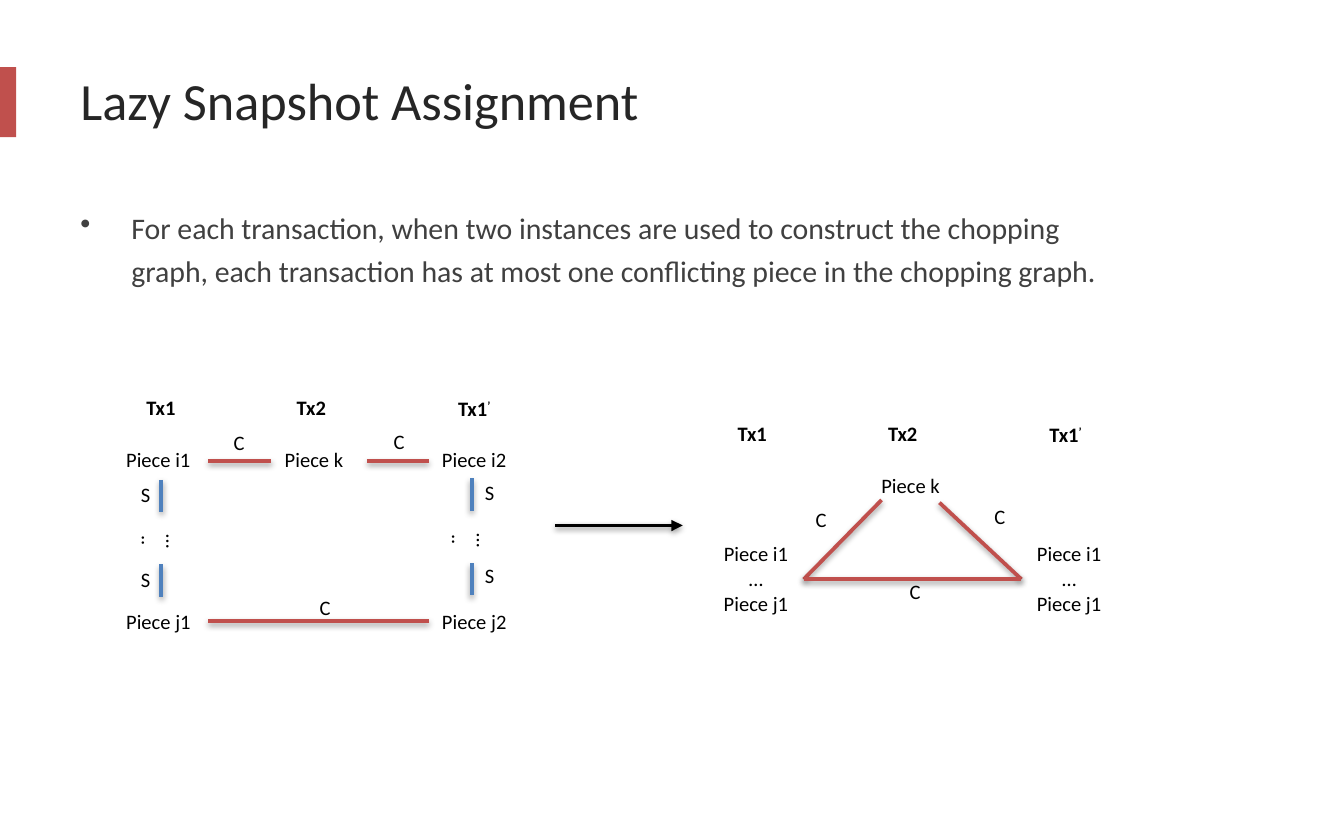
from lxml import etree
from pptx import Presentation, util as u
from pptx.dml import color
from pptx.enum import shapes, text
from pptx.oxml import ns, parse_xml

RED, BLUE, BLACK = "C0504D", "4F81BD", "000000"
LABEL_HEIGHT, PIECE_WIDTH, HEADING_WIDTH = 0.29, 0.71, 0.47
CONFLICT_WIDTH, SIBLING_WIDTH = 0.41, 0.39


def rgb(value):
    """Turn a hex string into a colour."""
    return color.RGBColor.from_string(value)


def add_text(page, lines, left, top, width, height=LABEL_HEIGHT, size=11,
             colour=BLACK, bold=False, centred=False, middle=False, grow=True,
             vertical=False, bullet=False, spacing=None, superscript=""):
    """Add a text box with one paragraph per line and return it."""
    box = page.shapes.add_textbox(*map(u.Inches, (left, top, width, height)))
    frame = box.text_frame
    frame.word_wrap = True
    if grow:
        frame.auto_size = text.MSO_AUTO_SIZE.SHAPE_TO_FIT_TEXT
    if middle:
        frame.vertical_anchor = text.MSO_ANCHOR.MIDDLE
    if vertical:
        box.element.txBody.bodyPr.set("vert", "eaVert")
    for index, line in enumerate(lines.split("\n")):
        para = frame.add_paragraph() if index else frame.paragraphs[0]
        if bullet:
            add_bullet(para, 0.38)
        if spacing:
            para.line_spacing = spacing
        para.alignment = text.PP_ALIGN.CENTER if centred else text.PP_ALIGN.LEFT
        for words, baseline in ((line, None), (superscript, "30000")):
            if not words:
                continue
            span = para.add_run()
            span.text = words
            span.font.name = "Calibri"
            span.font.size = u.Pt(size)
            span.font.bold = bold
            span.font.color.rgb = rgb(colour)
            if baseline:
                span.font._element.set("baseline", baseline)
    return box


def add_bullet(para, indent):
    """Give a paragraph a round bullet with a hanging indent."""
    properties = para._p.get_or_add_pPr()
    properties.set("marL", str(u.Inches(indent)))
    properties.set("indent", str(-u.Inches(indent)))
    etree.SubElement(properties, ns.qn("a:buChar")).set("char", "•")


def add_line(page, start, end, colour, arrow=False):
    """Draw a straight line with a soft shadow below it."""
    line = page.shapes.add_connector(
        shapes.MSO_CONNECTOR.STRAIGHT, *map(u.Inches, (*start, *end)))
    line.line.color.rgb = rgb(colour)
    line.line.width = u.Pt(2)
    properties = line.element.spPr
    if arrow:
        outline = properties.find(ns.qn("a:ln"))
        etree.SubElement(outline, ns.qn("a:tailEnd")).set("type", "triangle")
    properties.append(parse_xml(
        f'<a:effectLst {ns.nsdecls("a")}>'
        '<a:outerShdw blurRad="40000" dist="20000" dir="5400000" rotWithShape="0">'
        '<a:srgbClr val="000000"><a:alpha val="38000"/></a:srgbClr>'
        '</a:outerShdw></a:effectLst>'))


def add_accent(page):
    """Add the red bar at the left edge."""
    bar = page.shapes.add_shape(
        shapes.MSO_SHAPE.RECTANGLE, *map(u.Inches, (0, 0.5, 0.12, 0.52)))
    bar.shadow.inherit = False
    bar.fill.solid()
    bar.fill.fore_color.rgb = rgb(RED)
    bar.line.fill.background()


def add_headings(page, left, top):
    """Add the three transaction headings of a graph."""
    for name, offset, drop, prime in (("Tx1", 0, 0, ""), ("Tx2", 1.12, 0, ""),
                                      ("Tx1", 2.32, 0.01, "’")):
        add_text(page, name, left + offset, top + drop, HEADING_WIDTH,
                 bold=True, superscript=prime)


def add_conflict_labels(page, places):
    """Mark conflict edges with the letter C."""
    for left, top in places:
        add_text(page, "C", left, top, CONFLICT_WIDTH)


def add_sibling_chain(page, x, top, label_left, label_tops):
    """Add the two sibling edges of a transaction and the dots between them."""
    for offset in (0, 0.63):
        add_line(page, (x, top + offset), (x, top + offset + 0.24), BLUE)
    add_text(page, "…..", x - 0.15, top + 0.31, SIBLING_WIDTH,
             centred=True, vertical=True)
    for label_top in label_tops:
        add_text(page, "S", label_left, label_top, SIBLING_WIDTH)


def add_full_graph(page):
    """Add the chopping graph with all pieces."""
    add_headings(page, 0.99, 2.89)
    for name, left, top in (("Piece i1", 0.84, 3.28), ("Piece k", 2.02, 3.28),
                            ("Piece i2", 3.19, 3.28), ("Piece j1", 0.84, 4.48),
                            ("Piece j2", 3.19, 4.48)):
        add_text(page, name, left, top, PIECE_WIDTH)
    add_sibling_chain(page, 1.2, 3.57, 0.95, (3.54, 4.17))
    add_sibling_chain(page, 3.51, 3.56, 3.51, (3.52, 4.14))
    for left, right, y in ((1.55, 2.02, 3.43), (2.73, 3.19, 3.43),
                           (1.55, 3.19, 4.62)):
        add_line(page, (left, y), (right, y), RED)
    add_conflict_labels(page, ((1.64, 3.15), (2.83, 3.14), (2.28, 4.38)))


def add_merged_graph(page):
    """Add the graph with the pieces of each instance merged."""
    add_headings(page, 5.39, 3.08)
    for left in (5.27, 7.6):
        add_text(page, "Piece i1\n…\nPiece j1", left, 3.98, PIECE_WIDTH, 0.66,
                 centred=True)
    add_text(page, "Piece k", 6.42, 3.47, PIECE_WIDTH, centred=True)
    first, second = (5.98, 4.31), (7.6, 4.31)
    for start, end in ((first, (6.56, 3.72)), ((6.99, 3.74), second),
                       (first, second)):
        add_line(page, start, end, RED)
    add_conflict_labels(page, ((5.97, 3.72), (7.3, 3.7), (6.67, 4.26)))


def main():
    """Build the slide and save it."""
    deck = Presentation()
    deck.slide_width, deck.slide_height = u.Inches(10), u.Inches(6.25)
    page = deck.slides.add_slide(deck.slide_layouts[6])
    add_accent(page)
    add_text(page, "Lazy Snapshot Assignment", 0.5, 0.25, 9, 0.98, size=28,
             colour="262626", middle=True, grow=False)
    add_text(page, "For each transaction, when two instances are used to "
             "construct the chopping graph, each transaction has at most one "
             "conflicting piece in the chopping graph.", 0.5, 1.46, 8.04, 1.76,
             size=16, colour="404040", grow=False, bullet=True, spacing=1.2)
    add_full_graph(page)
    add_line(page, (4.13, 3.91), (5.08, 3.91), BLACK, arrow=True)
    add_merged_graph(page)
    deck.save("out.pptx")


if __name__ == "__main__":
    main()
